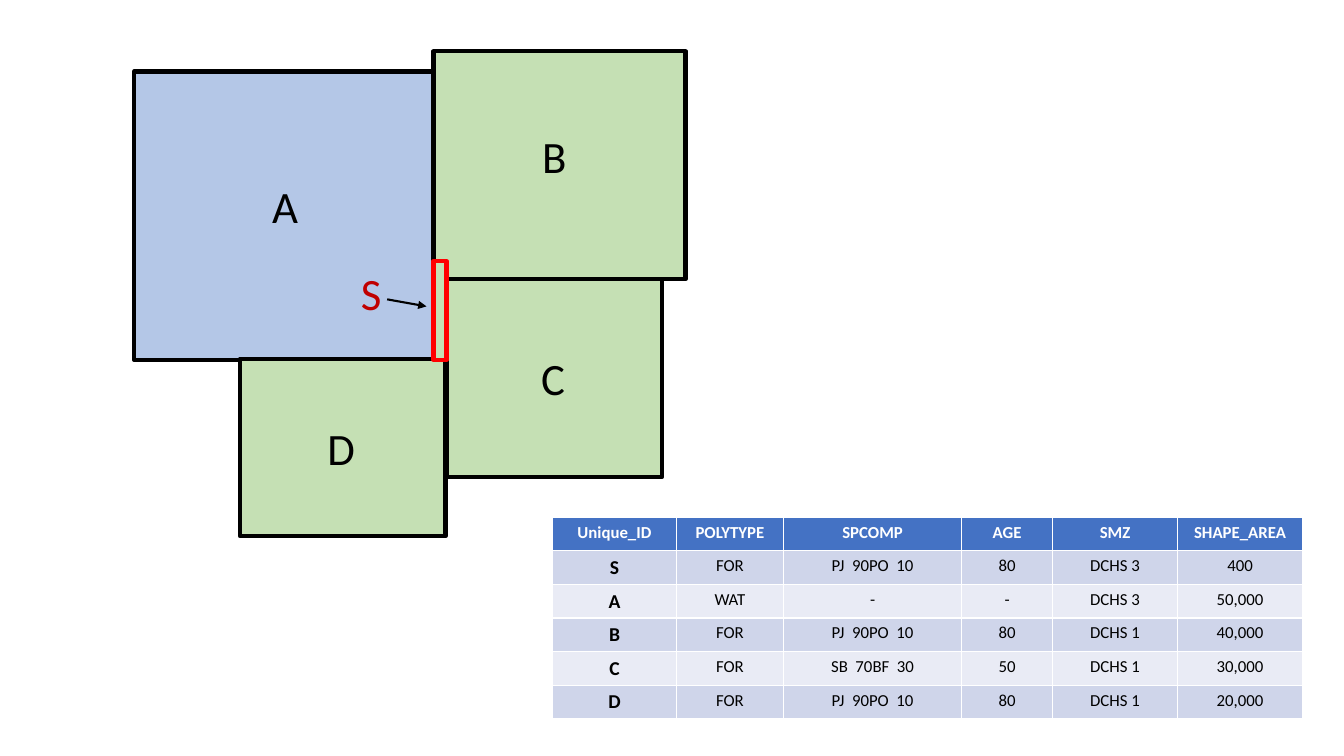
import pptx
import pptx.util
import pptx.dml.color
import pptx.enum.shapes
import pptx.enum.text
import pptx.oxml
import pptx.oxml.ns
from dataclasses import dataclass

PX = 9144


@dataclass(frozen=True)
class Theme:
    font: str = "Calibri"
    water: str = "B4C7E7"
    forest: str = "C5E0B4"
    black: str = "000000"
    white: str = "FFFFFF"
    sliver_line: str = "FF0000"
    sliver_text: str = "C00000"
    header: str = "4472C4"
    bands: tuple = ("CFD5EA", "E9EBF5")
    label_size: int = 32
    id_size: int = 14
    cell_size: int = 12
    outline: float = 3
    arrow: float = 1.5


THEME = Theme()

POLYGONS = [
    ((0, 20, 297, 286), THEME.water, THEME.black),
    ((310, 226, 214, 196), THEME.forest, THEME.black),
    ((297, 0, 250, 226), THEME.forest, THEME.black),
    ((105, 305, 204, 176), THEME.forest, THEME.black),
    ((297, 208, 13, 98), THEME.forest, THEME.sliver_line),
]
LABELS = [
    ("S", 215, 208, THEME.sliver_text),
    ("A", 127, 121, THEME.black),
    ("B", 395, 72, THEME.black),
    ("C", 394, 292, THEME.black),
    ("D", 182, 361, THEME.black),
]
ARROW = (251, 246, 290, 253)

COLUMN_WIDTHS = [123, 106, 177, 90, 124, 124]
ROWS = [
    ("Unique_ID", "POLYTYPE", "SPCOMP", "AGE", "SMZ", "SHAPE_AREA"),
    ("S", "FOR", "PJ  90PO  10", "80", "DCHS 3", "400"),
    ("A", "WAT", "-", "-", "DCHS 3", "50,000"),
    ("B", "FOR", "PJ  90PO  10", "80", "DCHS 1", "40,000"),
    ("C", "FOR", "SB  70BF  30", "50", "DCHS 1", "30,000"),
    ("D", "FOR", "PJ  90PO  10", "80", "DCHS 1", "20,000"),
]


def emu(*lengths):
    return [pptx.util.Emu(n * PX) for n in lengths]


def rgb(color):
    return pptx.dml.color.RGBColor.from_string(color)


def style_text(p, size, color, bold=False):
    for r in p.runs:
        r.font.name = THEME.font
        r.font.size = pptx.util.Pt(size)
        r.font.bold = bold
        r.font.color.rgb = rgb(color)


def add_polygon(s, box, fill, line):
    sp = s.shapes.add_shape(pptx.enum.shapes.MSO_SHAPE.RECTANGLE, *emu(*box))
    sp.shadow.inherit = False
    sp.fill.solid()
    sp.fill.fore_color.rgb = rgb(fill)
    sp.line.color.rgb = rgb(line)
    sp.line.width = pptx.util.Pt(THEME.outline)


def add_label(s, text, x, y, color):
    tf = s.shapes.add_textbox(*emu(x, y, 43, 64)).text_frame
    tf.word_wrap = True
    tf.auto_size = pptx.enum.text.MSO_AUTO_SIZE.SHAPE_TO_FIT_TEXT
    tf.text = text
    style_text(tf.paragraphs[0], THEME.label_size, color)


def add_arrow(s, x1, y1, x2, y2):
    straight = pptx.enum.shapes.MSO_CONNECTOR.STRAIGHT
    cxn = s.shapes.add_connector(straight, *emu(x1, y1, x2, y2))
    cxn.line.color.rgb = rgb(THEME.black)
    cxn.line.width = pptx.util.Pt(THEME.arrow)
    tail = pptx.oxml.parse_xml(
        f'<a:tailEnd {pptx.oxml.ns.nsdecls("a")} type="triangle"/>')
    cxn.line._get_or_add_ln().append(tail)
    effects = pptx.oxml.parse_xml(f'<a:effectLst {pptx.oxml.ns.nsdecls("a")}/>')
    cxn._element.spPr.append(effects)


def add_stand_map(s, left, top):
    for (x, y, w, h), fill, line in POLYGONS:
        add_polygon(s, (left + x, top + y, w, h), fill, line)
    for text, x, y, color in LABELS:
        add_label(s, text, left + x, top + y, color)
    x1, y1, x2, y2 = ARROW
    add_arrow(s, left + x1, top + y1, left + x2, top + y2)


def add_attribute_table(s, left, top, width, height):
    frame = s.shapes.add_table(len(ROWS), len(COLUMN_WIDTHS),
                               *emu(left, top, width, height))
    table = frame.table
    for column, w in zip(table.columns, COLUMN_WIDTHS):
        column.width = pptx.util.Emu(w * width * PX // sum(COLUMN_WIDTHS))
    for i, row in enumerate(ROWS):
        is_header = i == 0
        fill = THEME.header if is_header else THEME.bands[(i - 1) % 2]
        color = THEME.white if is_header else THEME.black
        for j, text in enumerate(row):
            is_id = j == 0 and not is_header
            cell = table.cell(i, j)
            cell.fill.solid()
            cell.fill.fore_color.rgb = rgb(fill)
            cell.text_frame.text = text
            p = cell.text_frame.paragraphs[0]
            p.alignment = pptx.enum.text.PP_ALIGN.CENTER
            size = THEME.id_size if is_id else THEME.cell_size
            style_text(p, size, color, bold=is_header or is_id)


def main():
    prs = pptx.Presentation()
    prs.slide_width, prs.slide_height = emu(1333, 750)
    s = prs.slides.add_slide(prs.slide_layouts[6])
    add_stand_map(s, 133, 51)
    add_attribute_table(s, 548, 513, 744, 200)
    prs.save("out.pptx")


if __name__ == "__main__":
    main()
